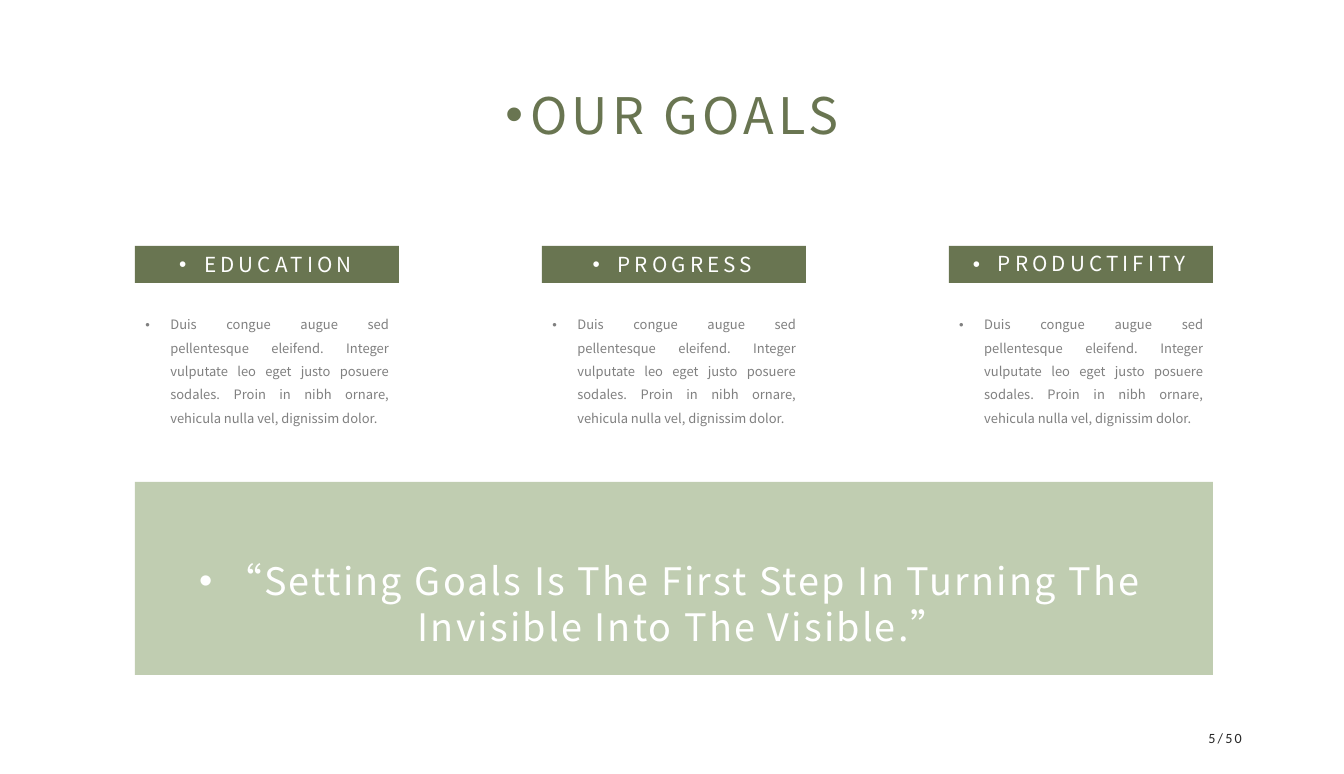
from dataclasses import dataclass

from lxml import etree
from pptx import Presentation
from pptx import util as u
from pptx.dml.color import RGBColor
from pptx.enum import shapes, text
from pptx.oxml.ns import qn

EMU_PER_PX = 914400 / 103.5
ALIGN = text.PP_ALIGN
ANCHOR = text.MSO_ANCHOR


@dataclass(frozen=True)
class Theme:
    olive: str = "697551"
    sage: str = "C0CDB1"
    white: str = "FFFFFF"
    grey: str = "808080"
    ink: str = "262626"
    font: str = "Noto Sans CJK SC"
    number_font: str = "Calibri"
    title: float = 35
    quote: float = 26.3
    heading: float = 14.4
    body: float = 9
    number: float = 9.8


THEME = Theme()
INDENT = 25
GOALS = ["EDUCATION", "PROGRESS", "PRODUCTIFITY"]
DETAIL = ("Duis congue augue sed pellentesque eleifend. Integer vulputate leo eget "
          "justo posuere sodales. Proin in nibh ornare, vehicula nulla vel, "
          "dignissim dolor.")
QUOTE = "“Setting Goals Is The First Step In Turning The Invisible Into The Visible.”"


def px(length):
    return u.Emu(round(length * EMU_PER_PX))


def add_bullet(paragraph):
    properties = paragraph._p.get_or_add_pPr()
    properties.set("marL", str(px(INDENT)))
    properties.set("indent", str(-px(INDENT)))
    etree.SubElement(properties, qn("a:buFont")).set("typeface", "Arial")
    etree.SubElement(properties, qn("a:buChar")).set("char", "•")


def write(slide, box, words, *, size, color, holder=None, font=THEME.font,
          align=ALIGN.CENTER, anchor=ANCHOR.TOP, leading=1.0, tracking=0, bullet=True):
    left, top, width, height = map(px, box)
    if holder is None:
        holder = slide.shapes.add_textbox(left, top, width, height)
    holder.left, holder.top, holder.width, holder.height = left, top, width, height
    frame = holder.text_frame
    frame.word_wrap = True
    frame.auto_size = text.MSO_AUTO_SIZE.NONE
    frame.vertical_anchor = anchor
    paragraph = frame.paragraphs[0]
    paragraph.alignment = align
    paragraph.line_spacing = leading
    paragraph.space_before = u.Pt(0)
    if bullet:
        add_bullet(paragraph)
    run = paragraph.add_run()
    run.text = words
    run.font.name = font
    run.font.size = u.Pt(size)
    run.font.bold = False
    run.font.color.rgb = RGBColor.from_string(color)
    properties = run._r.get_or_add_rPr()
    properties.set("spc", str(round(tracking * 100)))
    etree.SubElement(properties, qn("a:ea")).set("typeface", font)


def add_panel(slide, box, color):
    panel = slide.shapes.add_shape(shapes.MSO_SHAPE.RECTANGLE, *map(px, box))
    panel.shadow.inherit = False
    panel.fill.solid()
    panel.fill.fore_color.rgb = RGBColor.from_string(color)
    panel.line.fill.background()
    panel.element.getparent().insert(2, panel.element)


def add_title(slide, box):
    write(slide, box, "OUR GOALS", holder=slide.shapes.title, size=THEME.title,
          color=THEME.olive, tracking=2.9)


def add_goal(slide, box, goal, holders):
    left, top, width, height = box
    add_panel(slide, (left, top, width, 37), THEME.olive)
    write(slide, (left - 3, top + 3, width + 3, 33), goal, holder=next(holders, None),
          size=THEME.heading, color=THEME.white, leading=0.9, tracking=2.9)
    write(slide, (left, top + 58, width, height - 58), DETAIL, holder=next(holders, None),
          size=THEME.body, color=THEME.grey, align=ALIGN.JUSTIFY, leading=1.5)


def add_quote(slide, box):
    left, top, width, height = box
    add_panel(slide, box, THEME.sage)
    write(slide, (left + 16, top + 71, width - 38, height - 74), QUOTE, size=THEME.quote,
          color=THEME.white, tracking=1.5)


def add_page_number(slide, box):
    write(slide, box, "5/50", size=THEME.number, color=THEME.ink, font=THEME.number_font,
          align=ALIGN.RIGHT, anchor=ANCHOR.MIDDLE, tracking=1.5, bullet=False)


def main():
    deck = Presentation()
    deck.slide_width, deck.slide_height = px(1344), px(774)
    slide = deck.slides.add_slide(deck.slide_layouts.get_by_name("Comparison"))
    title, *bodies = slide.placeholders
    holders = iter(bodies)
    add_title(slide, (349, 79, 646, 67))
    for column, goal in enumerate(GOALS):
        add_goal(slide, (135 + 407 * column, 246, 264, 168), goal, holders)
    add_quote(slide, (135, 482, 1078, 193))
    add_page_number(slide, (950, 717, 302, 41))
    deck.save("out.pptx")


if __name__ == "__main__":
    main()
